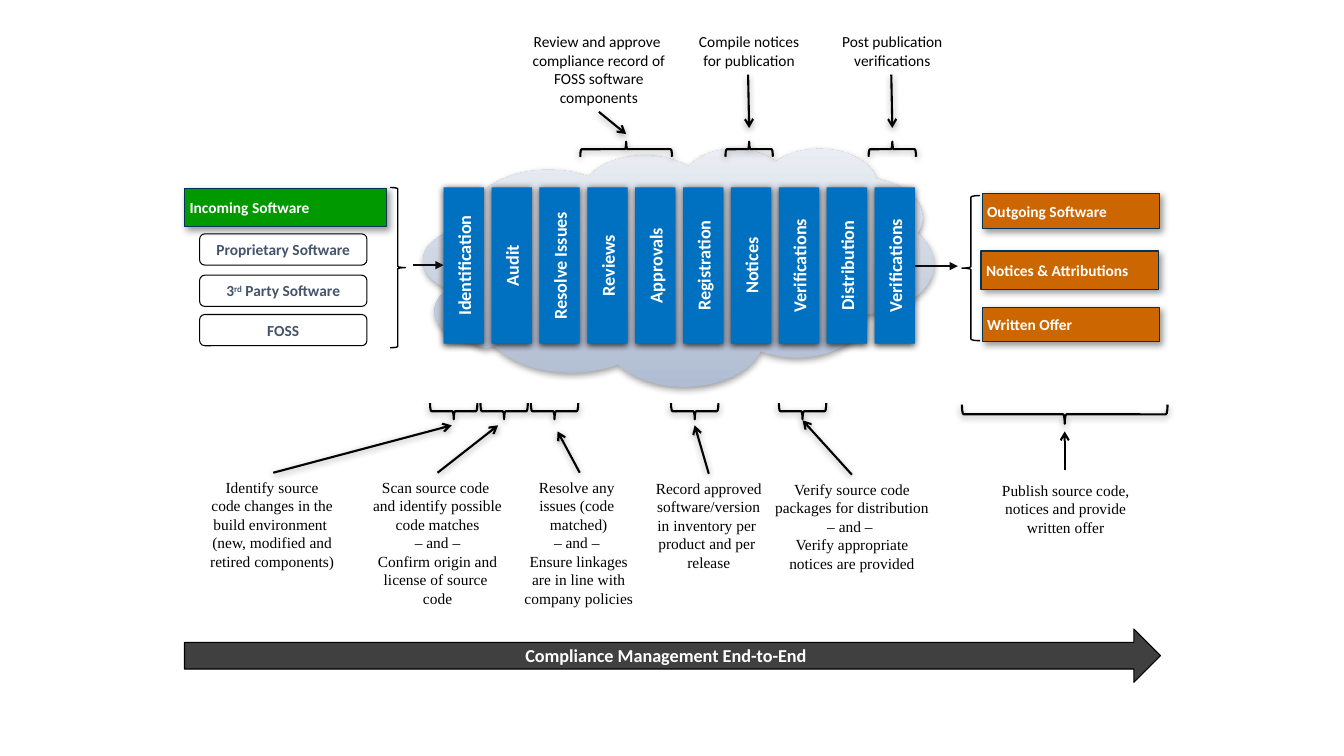
"""Build the end-to-end compliance management slide."""
from dataclasses import dataclass
from lxml.etree import SubElement
from pptx import Presentation
from pptx.dml.color import RGBColor
from pptx.enum.shapes import MSO_CONNECTOR as Connector, MSO_SHAPE as Preset
from pptx.enum.text import MSO_ANCHOR as Anchor, PP_ALIGN as Align
from pptx.oxml.ns import qn
from pptx.util import Inches, Pt


@dataclass(frozen=True)
class Theme:
    """Colours, fonts, type sizes and shadows (opacity, distance, direction)."""
    ink: str = "000000"
    flow: str = "0D0D0D"
    white: str = "FFFFFF"
    slate: str = "44546A"
    green: str = "009900"
    orange: str = "CC6600"
    navy: str = "003359"
    blue: str = "0070C0"
    charcoal: str = "404040"
    cloud: tuple = ("B0BCD2", "EAEDF3")
    sans: str = "Calibri"
    serif: str = "Times New Roman"
    small: float = 11
    large: float = 13
    soft: tuple = (38, 1.6, 90)
    deep: tuple = (75, 1, 90)
    cast: tuple = (40, 3, 45)


@dataclass(frozen=True)
class Note:
    """A callout with its brace (centre x, centre y, span, depth) and arrow."""
    lines: list
    center: float
    top: float
    width: float
    rows: int
    wraps: bool
    brace: tuple
    arrow: tuple
    shadow: tuple = Theme.soft


THEME = Theme()
STAGES = ["Identification", "Audit", "Resolve Issues", "Reviews", "Approvals",
          "Registration", "Notices", "Verifications", "Distribution", "Verifications"]
SOURCES = [("Proprietary Software", 2.32), (("3", "rd", " Party Software"), 2.73),
           ("FOSS", 3.12)]
BANNERS = [("Incoming Software", (1.83, 1.87, 2, 0.38), THEME.green),
           ("Outgoing Software", (9.74, 1.92, 1.76, 0.35), THEME.orange),
           ("Notices & Attributions", (9.73, 2.49, 1.76, 0.38), THEME.orange),
           ("Written Offer", (9.74, 3.05, 1.76, 0.34), THEME.orange)]
SIDE_BRACES = [(Preset.RIGHT_BRACE, (3.87, 1.86, 0.15, 1.59)),
               (Preset.LEFT_BRACE, (9.54, 1.94, 0.18, 1.44))]
FLOWS = [(4.1, 2.63, 4.4, 2.63), (9.08, 2.64, 9.5, 2.64)]
UPPER_NOTES = [
    Note(["Review and approve ", "compliance record of FOSS software components"],
         5.94, 0.27, 1.72, 4, True, (6.21, 1.48, 0.91, 0.15), (5.94, 1.11, 6.21, 1.33)),
    Note(["Compile notices", "for publication"],
         7.43, 0.27, 1.72, 2, True, (7.43, 1.48, 0.47, 0.15), (7.42, 0.74, 7.43, 1.27)),
    Note(["Post publication", "verifications"],
         8.85, 0.27, 1.72, 2, True, (8.85, 1.48, 0.47, 0.15), (8.84, 0.74, 8.85, 1.27)),
]
LOWER_NOTES = [
    Note(["Identify source", "code changes in the", "build environment ",
          "(new, modified and", "retired components)"],
         2.7, 4.69, 1.43, 5, False, (4.5, 4.08, 0.47, 0.16), (2.71, 4.69, 4.48, 4.22)),
    Note(["Scan source code ", "and identify possible", "code matches", "– and –",
          "Confirm origin and", "license of source ", "code"],
         4.34, 4.69, 1.48, 7, False, (5, 4.08, 0.47, 0.16), (4.34, 4.69, 4.94, 4.22)),
    Note(["Resolve any ", "issues (code ", "matched)", "– and – ",
          "Ensure linkages", "are in line with", "company policies"],
         5.74, 4.69, 1.28, 7, False, (5.5, 4.08, 0.47, 0.16), (5.75, 4.69, 5.53, 4.28)),
    Note(["Record approved", "software/version", "in inventory per ",
          "product and per ", "release"],
         7.03, 4.7, 1.26, 6, False, (6.89, 4.08, 0.47, 0.16), (7.03, 4.7, 6.89, 4.22)),
    Note(["Verify source code packages for distribution", "– and – ",
          "Verify appropriate notices are provided"],
         8.45, 4.71, 1.76, 6, True, (7.96, 4.08, 0.47, 0.16), (8.45, 4.71, 7.96, 4.17)),
    Note(["Publish source code,", "notices and provide written offer"],
         10.57, 4.72, 1.76, 3, True, (10.56, 4.11, 2.04, 0.19),
         (10.56, 4.66, 10.56, 4.28), None),
]


def set_effects(shape, shadow):
    """Replace the inherited shadow by the given one, or by none."""
    effects = SubElement(shape._element.spPr, qn("a:effectLst"))
    if shadow:
        opacity, distance, direction = shadow
        outer = SubElement(effects, qn("a:outerShdw"), blurRad=str(Pt(5)),
                           dist=str(Pt(distance)), dir=str(direction * 60000),
                           rotWithShape="0")
        color = SubElement(outer, qn("a:srgbClr"), val=THEME.ink)
        SubElement(color, qn("a:alpha"), val=str(opacity * 1000))


def add_preset(page, preset, area, fill=None, line=None, weight=0.75, shadow=None):
    """Add a preset shape with a flat or two-colour fill."""
    shape = page.shapes.add_shape(preset, *map(Inches, area))
    if isinstance(fill, tuple):
        shape.fill.gradient()
        shape.fill.gradient_angle = 90
        for stop, color in zip(shape.fill.gradient_stops, fill):
            stop.color.rgb = RGBColor.from_string(color)
    elif fill:
        shape.fill.solid()
        shape.fill.fore_color.rgb = RGBColor.from_string(fill)
    else:
        shape.fill.background()
    if line:
        shape.line.color.rgb = RGBColor.from_string(line)
        shape.line.width = Pt(weight)
    else:
        shape.line.fill.background()
    set_effects(shape, shadow)
    return shape


def write(shape, lines, color, size, font=THEME.sans, bold=True, align=Align.CENTER):
    """Write one paragraph a line; the second span of a tuple is raised."""
    frame = shape.text_frame
    for index, line in enumerate(lines):
        para = frame.paragraphs[0] if index == 0 else frame.add_paragraph()
        para.alignment = align
        for position, text in enumerate([line] if isinstance(line, str) else line):
            span = para.add_run()
            span.text = text
            span.font.name, span.font.size, span.font.bold = font, Pt(size), bold
            span.font.color.rgb = RGBColor.from_string(color)
            if position == 1:
                span.font._element.set("baseline", "30000")
    return frame


def add_arrow(page, ends, color, head, shadow=None):
    """Add a straight arrow between two points."""
    arrow = page.shapes.add_connector(Connector.STRAIGHT, *map(Inches, ends))
    arrow.line.color.rgb = RGBColor.from_string(color)
    arrow.line.width = Pt(1.5)
    SubElement(arrow.line._get_or_add_ln(), qn("a:tailEnd"), type=head)
    set_effects(arrow, shadow)


def add_note(page, note, font, brace_preset):
    """Add a callout text, its turned brace and its arrow."""
    area = (note.center - note.width / 2, note.top, note.width, 0.1 + 0.185 * note.rows)
    box = page.shapes.add_textbox(*map(Inches, area))
    box.text_frame.word_wrap = note.wraps
    write(box, note.lines, THEME.ink, THEME.small, font, False)
    x, y, span, depth = note.brace
    brace = add_preset(page, brace_preset, (x - depth / 2, y - span / 2, depth, span),
                       line=THEME.ink, weight=1.5, shadow=THEME.soft)
    brace.rotation = 90
    add_arrow(page, note.arrow, THEME.ink, "arrow", note.shadow)


def main():
    """Lay out the process and save the deck."""
    deck = Presentation()
    deck.slide_width, deck.slide_height = Inches(13.33), Inches(7.5)
    page = deck.slides.add_slide(deck.slide_layouts[6])
    cloud = add_preset(page, Preset.CLOUD_CALLOUT, (4.2, 1.47, 5.06, 2.36),
                       THEME.cloud, shadow=THEME.soft)
    cloud.adjustments[0], cloud.adjustments[1] = -0.28, 0.19
    for index, stage in enumerate(STAGES):
        bar = add_preset(page, Preset.RECTANGLE, (4.4 + 0.475 * index, 1.86, 0.4, 1.55),
                         THEME.blue, shadow=THEME.deep)
        frame = write(bar, [stage], THEME.white, THEME.large)
        frame._txBody.bodyPr.set("vert", "vert270")
    for label, area, fill in BANNERS:
        banner = add_preset(page, Preset.RECTANGLE, area, fill, THEME.navy, shadow=THEME.cast)
        frame = write(banner, [label], THEME.white, THEME.small, align=Align.LEFT)
        frame.margin_left = Inches(0.05)
    for label, top in SOURCES:
        pill = add_preset(page, Preset.ROUNDED_RECTANGLE, (1.98, top, 1.66, 0.31),
                          line=THEME.ink)
        write(pill, [label], THEME.slate, THEME.small)
    for preset, area in SIDE_BRACES:
        add_preset(page, preset, area, line=THEME.ink, weight=1)
    for ends in FLOWS:
        add_arrow(page, ends, THEME.flow, "triangle")
    for note in UPPER_NOTES:
        add_note(page, note, THEME.sans, Preset.LEFT_BRACE)
    for note in LOWER_NOTES:
        add_note(page, note, THEME.serif, Preset.RIGHT_BRACE)
    timeline = add_preset(page, Preset.RIGHT_ARROW, (1.83, 6.24, 9.68, 0.53),
                          THEME.charcoal, THEME.ink)
    frame = write(timeline, ["Compliance Management End-to-End"], THEME.white, THEME.large)
    frame.vertical_anchor = Anchor.MIDDLE
    deck.save("out.pptx")


if __name__ == "__main__":
    main()
